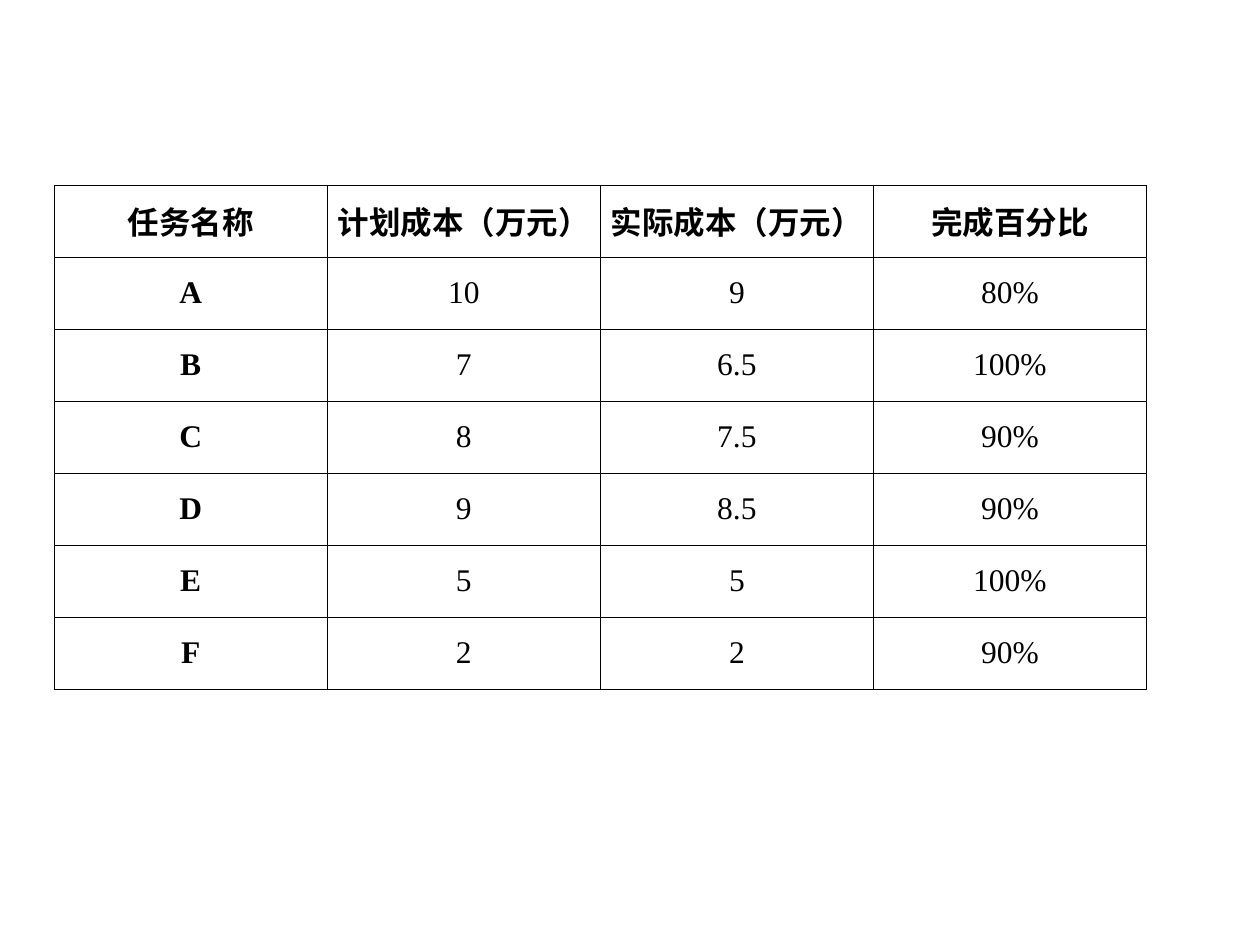
from lxml import etree
from pptx import Presentation
from pptx import util as u
from pptx.dml.color import RGBColor
from pptx.enum import text
from pptx.oxml.ns import qn

HUES = {"ink": "000000", "paper": "FFFFFF"}
FONT = "Times New Roman"
COSTS = [
    ("任务名称", "计划成本（万元）", "实际成本（万元）", "完成百分比"),
    ("A", "10", "9", "80%"),
    ("B", "7", "6.5", "100%"),
    ("C", "8", "7.5", "90%"),
    ("D", "9", "8.5", "90%"),
    ("E", "5", "5", "100%"),
    ("F", "2", "2", "90%"),
]


def add_edges(cell):
    """Draw a thin line on all four sides of a cell."""
    props = cell._tc.get_or_add_tcPr()
    for side in ("lnL", "lnR", "lnT", "lnB"):
        line = etree.SubElement(props, qn(f"a:{side}"), w=str(u.Pt(0.45)))
        fill = etree.SubElement(line, qn("a:solidFill"))
        etree.SubElement(fill, qn("a:srgbClr"), val=HUES["ink"])


def fill_cell(cell, words, bold):
    """Style one cell and write its centred text."""
    add_edges(cell)
    cell.fill.solid()
    cell.fill.fore_color.rgb = RGBColor.from_string(HUES["paper"])
    cell.margin_left = cell.margin_right = u.Inches(0.08)
    cell.margin_top = cell.margin_bottom = u.Inches(0.05)
    cell.vertical_anchor = text.MSO_ANCHOR.MIDDLE
    para = cell.text_frame.paragraphs[0]
    para.alignment = text.PP_ALIGN.CENTER
    run = para.add_run()
    run.text = words
    run.font.name = FONT
    run.font.size = u.Pt(18)
    run.font.bold = bold
    run.font.color.rgb = RGBColor.from_string(HUES["ink"])


def add_costs(slide, left, top, width, height):
    """Place the task cost table in the given box with an even grid."""
    rows, cols = len(COSTS), len(COSTS[0])
    table = slide.shapes.add_table(rows, cols, left, top, width, height).table
    table.first_row = table.horz_banding = False
    for r, row in enumerate(COSTS):
        for c, words in enumerate(row):
            fill_cell(table.cell(r, c), words, r == 0 or c == 0)


def main():
    """Build and save the slide."""
    deck = Presentation()
    deck.slide_width, deck.slide_height = u.Inches(10), u.Inches(7.5)
    slide = deck.slides.add_slide(deck.slide_layouts[6])
    add_costs(slide, u.Inches(0.43), u.Inches(1.47), u.Inches(8.67), u.Inches(4))
    deck.save("out.pptx")


if __name__ == "__main__":
    main()
